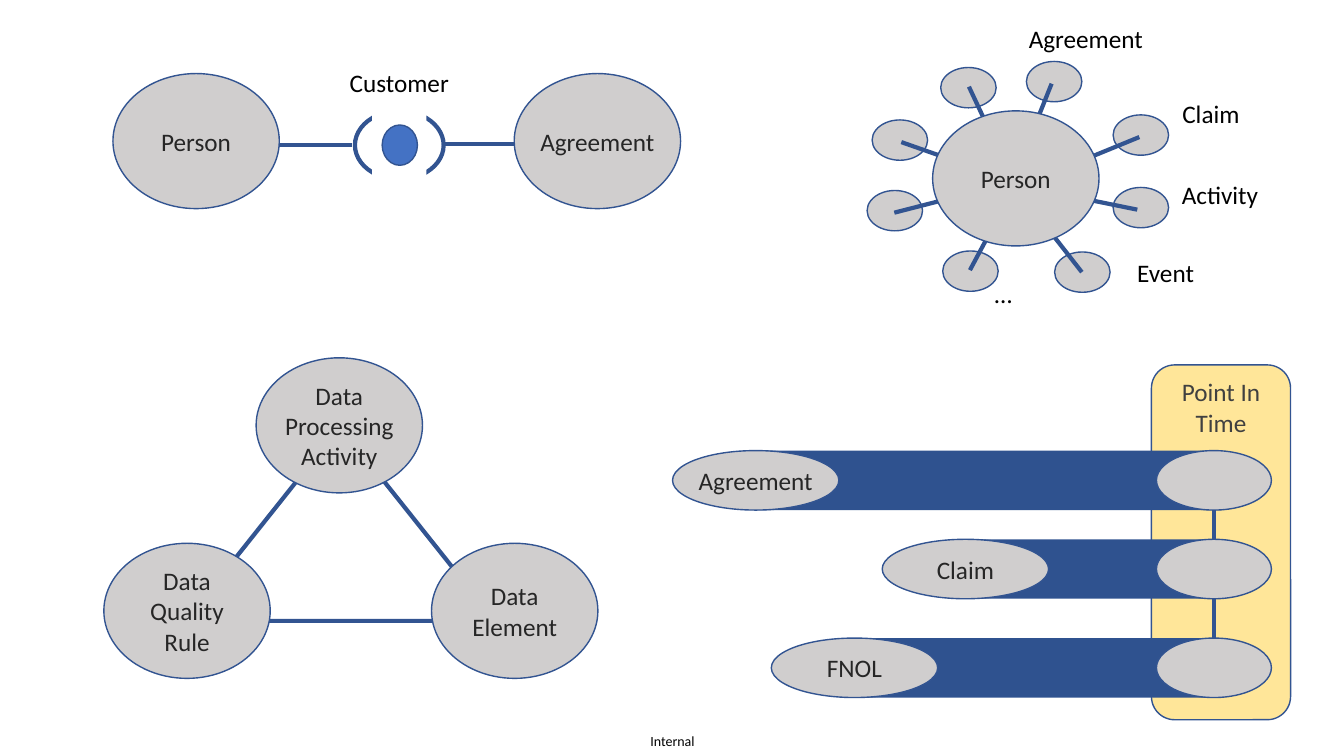
from itertools import pairwise

from lxml import etree
from pptx import Presentation
from pptx.dml.color import RGBColor
from pptx.enum.shapes import MSO_CONNECTOR, MSO_SHAPE
from pptx.enum.text import MSO_ANCHOR, PP_ALIGN
from pptx.oxml.ns import qn
from pptx.util import Emu, Pt

OVAL = MSO_SHAPE.OVAL
RECT = MSO_SHAPE.RECTANGLE
ROUND = MSO_SHAPE.ROUNDED_RECTANGLE
TRI = MSO_SHAPE.ISOSCELES_TRIANGLE
STRAIGHT = MSO_CONNECTOR.STRAIGHT
TOP, MIDDLE = MSO_ANCHOR.TOP, MSO_ANCHOR.MIDDLE
CENTER = PP_ALIGN.CENTER

SCALE = 9144  # 100 px to the inch
FONT = "Calibri"
EDGE, BAR, GRAY, BLUE = "325491", "2F528F", "D0CECE", "4472C4"
CREAM, WHITE, BLACK, INK, SLATE = "FFE699", "FFFFFF", "000000", "262626", "404040"
NODE_W, NODE_H = 165, 134
LABEL_W, LABEL_H = 138, 40


def px(*sizes):
    return [Emu(size * SCALE) for size in sizes]


def color(code):
    return RGBColor.from_string(code)


def write(shape, text, size=18, ink=INK, anchor=MIDDLE, pad=(0, 5)):
    frame = shape.text_frame
    frame.word_wrap = True
    frame.vertical_anchor = anchor
    side, edge = px(*pad)
    frame.margin_left = frame.margin_right = side
    frame.margin_top = frame.margin_bottom = edge
    para = frame.paragraphs[0]
    para.alignment = CENTER
    run = para.add_run()
    run.text = text
    run.font.name = FONT
    run.font.size = Pt(size)
    run.font.color.rgb = color(ink)


def draw(slide, kind, box, fill=GRAY, edge=EDGE, width=1):
    shape = slide.shapes.add_shape(kind, *px(*box))
    shape.shadow.inherit = False
    shape.fill.solid()
    shape.fill.fore_color.rgb = color(fill)
    if edge:
        shape.line.color.rgb = color(edge)
        shape.line.width = Pt(width)
    else:
        shape.line.fill.background()
    return shape


def node(slide, text, x, y, h=NODE_H):
    write(draw(slide, OVAL, (x, y, NODE_W, h)), text)


def label(slide, text, x, y):
    box = slide.shapes.add_textbox(*px(x, y, LABEL_W, LABEL_H))
    write(box, text, ink=BLACK, anchor=TOP, pad=(10, 5))


def join(slide, *ends):
    line = slide.shapes.add_connector(STRAIGHT, *px(*ends))
    line.line.color.rgb = color(EDGE)
    line.line.width = Pt(3)
    etree.SubElement(line._element.spPr, qn("a:effectLst"))


def link(slide, x, y, w):
    """Two nodes joined through a bracketed dot."""
    mid = x + 284
    right = x + w - NODE_W
    node(slide, "Person", x, y + 11)
    node(slide, "Agreement", right, y + 11)
    draw(slide, OVAL, (mid - 44, y + 48, 88, 68), WHITE, width=3)
    draw(slide, RECT, (mid - 27, y + 27, 54, 116), WHITE, edge=None)
    draw(slide, OVAL, (mid - 17, y + 62, 35, 40), BLUE)
    join(slide, x + NODE_W, y + 82, mid - 47, y + 82)
    join(slide, mid + 44, y + 81, right + 1, y + 81)
    label(slide, "Customer", mid - 69, y)


def hub(slide, x, y):
    """A core node with spokes out to small satellites."""
    spokes = [
        # satellite corner, spoke start, spoke end
        ((75, 231), (102, 250), (148, 164)),
        ((0, 171), (27, 193), (140, 164)),
        ((5, 101), (34, 123), (145, 162)),
        ((73, 49), (101, 68), (145, 162)),
        ((158, 43), (183, 65), (142, 168)),
        ((244, 96), (270, 118), (148, 168)),
        ((244, 168), (268, 190), (145, 165)),
        ((186, 232), (213, 252), (145, 165)),
    ]
    for (left, top), (ax, ay), (bx, by) in spokes:
        draw(slide, OVAL, (x + left, y + top, 55, 40))
        join(slide, x + ax, y + ay, x + bx, y + by)
    node(slide, "Person", x + 65, y + 92)
    labels = [("Agreement", 148, 0), ("Claim", 272, 75), ("Activity", 281, 155),
              ("Event", 227, 232), ("…", 66, 253)]
    for text, left, top in labels:
        label(slide, text, x + left, y + top)


def triad(slide, x, y, w, h):
    """Three nodes on the corners of a triangle."""
    low = y + h - NODE_H
    draw(slide, TRI, (x + 81, y + 68, 307, 193), WHITE, width=3)
    node(slide, "Data Quality Rule", x, low)
    node(slide, "Data Processing Activity", x + 151, y)
    node(slide, "Data Element", x + w - NODE_W, low)


def timeline(slide, x, y, w, h):
    """Bars that run from named nodes into one point in time."""
    panel = draw(slide, ROUND, (x + w - 138, y, 138, h), CREAM)
    write(panel, "Point In Time", ink=SLATE, anchor=TOP, pad=(10, 5))
    thick, end, stop, axis = 59, x + 544, x + 480, x + 537
    rows = [("Agreement", 0, 81, 85), ("Claim", 208, 308, 173), ("FNOL", 98, 174, 271)]
    for text, left, start, top in rows:
        draw(slide, RECT, (x + start, y + top, end - x - start, thick), BAR, edge=None)
        node(slide, text, x + left, y + top, thick)
        draw(slide, OVAL, (stop, y + top, 114, thick))
    for upper, lower in pairwise(row[-1] for row in rows):
        join(slide, axis, y + lower, axis, y + upper + thick)


def footer(slide, *box):
    mark = slide.shapes.add_textbox(*px(*box))
    write(mark, "Internal", size=10, ink=BLACK, pad=(0, 0))


def main():
    deck = Presentation()
    deck.slide_width, deck.slide_height = px(1333, 750)
    slide = deck.slides.add_slide(deck.slide_layouts[6])
    footer(slide, 630, 721, 74, 29)
    timeline(slide, 667, 362, 613, 352)
    triad(slide, 103, 355, 490, 318)
    link(slide, 112, 62, 563)
    hub(slide, 860, 18)
    deck.save("out.pptx")


if __name__ == "__main__":
    main()
